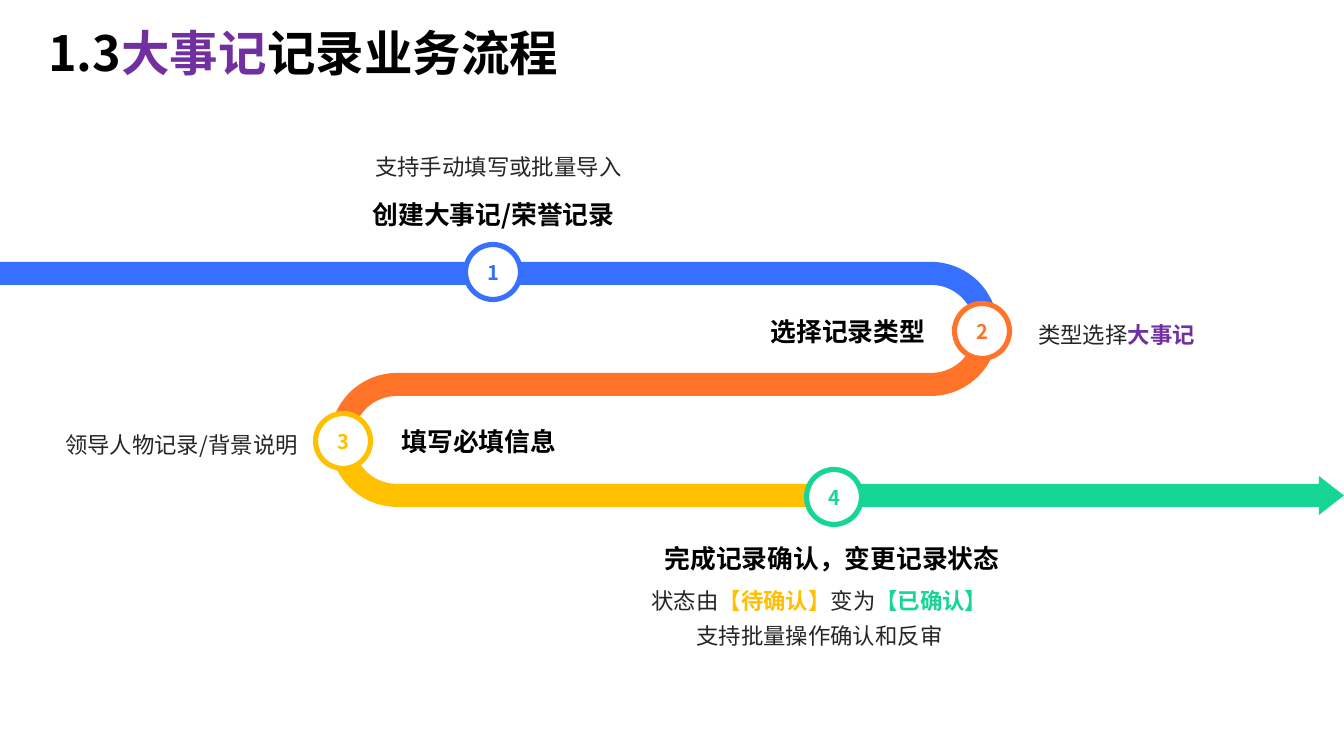
from math import cos, radians, sin

from pptx import Presentation
from pptx.dml.color import RGBColor
from pptx.enum.shapes import MSO_SHAPE
from pptx.enum.text import MSO_ANCHOR, PP_ALIGN
from pptx.util import Emu, Pt

FONT = "Noto Sans CJK SC"
WIDTH, HEIGHT = 1344, 756
BLUE, ORANGE, YELLOW, GREEN = "376FFF", "FF7429", "FFC000", "17D594"
PURPLE, BLACK, GREY, WHITE = "7030A0", "000000", "262626", "FFFFFF"
OUTER, INNER = 67, 44
RIGHT_TURN, LEFT_TURN = (931, 329), (397, 440)
ARROW_BASE, ARROW_SPREAD = 1319, 8
TOP, MIDDLE, BOTTOM = MSO_ANCHOR.TOP, MSO_ANCHOR.MIDDLE, MSO_ANCHOR.BOTTOM

STEPS = [
    ("4", GREEN, 834, 497),
    ("3", YELLOW, 343, 441),
    ("2", ORANGE, 982, 331),
    ("1", BLUE, 493, 272),
]
DIAMETER = 55

TITLE = [("1.3", BLACK, True), ("大事记", PURPLE, True), ("记录业务流程", BLACK, True)]
HEADINGS = [
    ("创建大事记/荣誉记录", (339, 199, 309, 43), TOP),
    ("完成记录确认，变更记录状态", (653, 531, 358, 43), BOTTOM),
    ("选择记录类型", (745, 301, 206, 60), MIDDLE),
    ("填写必填信息", (376, 411, 206, 60), MIDDLE),
]
DETAILS = [
    ([[("状态由", GREY, False), ("【待确认】", YELLOW, True),
       ("变为", GREY, False), ("【已确认】", GREEN, True)],
      [("支持批量操作确认和反审", GREY, False)]], (645, 579, 349, 78), TOP),
    ([[("类型选择", GREY, False), ("大事记", PURPLE, True)]], (989, 300, 255, 62), MIDDLE),
    ([[("领导人物记录/背景说明", GREY, False)]], (54, 410, 255, 62), MIDDLE),
    ([[("支持手动填写或批量导入", GREY, False)]], (344, 125, 309, 55), BOTTOM),
]


def px(value):
    """Turn slide pixels into EMU."""
    return Emu(round(value * 914400 / 134.4))


def color(value):
    """Turn a hex string into a colour."""
    return RGBColor.from_string(value)


def arc(center, radius, start, end, pieces=24):
    """Return points along an arc, with angles in degrees clockwise from the right."""
    angles = [radians(start + (end - start) * i / pieces) for i in range(pieces + 1)]
    return [(center[0] + radius * cos(a), center[1] + radius * sin(a)) for a in angles]


def add_band(slide, points, fill):
    """Draw one coloured stretch of the road."""
    corners = [(px(x), px(y)) for x, y in points]
    builder = slide.shapes.build_freeform(*corners[0], scale=1.0)
    builder.add_line_segments(corners[1:], close=True)
    shape = builder.convert_to_shape()
    shape.shadow.inherit = False
    shape.fill.solid()
    shape.fill.fore_color.rgb = color(fill)
    shape.line.fill.background()


def add_runs(paragraph, runs, size):
    """Append styled runs to a paragraph."""
    for text, ink, bold in runs:
        run = paragraph.add_run()
        run.text = text
        run.font.name, run.font.size, run.font.bold = FONT, Pt(size), bold
        run.font.color.rgb = color(ink)


def add_step(slide, number, ink, x, y):
    """Draw a numbered circle centred on the road."""
    left, top = x - DIAMETER / 2, y - DIAMETER / 2
    shape = slide.shapes.add_shape(
        MSO_SHAPE.OVAL, px(left), px(top), px(DIAMETER), px(DIAMETER))
    shape.shadow.inherit = False
    shape.fill.solid()
    shape.fill.fore_color.rgb = color(WHITE)
    shape.line.color.rgb = color(ink)
    shape.line.width = Pt(2.75)
    frame = shape.text_frame
    frame.word_wrap = False
    frame.vertical_anchor = MIDDLE
    frame.paragraphs[0].alignment = PP_ALIGN.CENTER
    add_runs(frame.paragraphs[0], [(number, ink, True)], 10.8)


def add_text(slide, lines, box, size, anchor=TOP, centered=True, spacing=None):
    """Add a wrapped text box; centred boxes have no insets."""
    frame = slide.shapes.add_textbox(*map(px, box)).text_frame
    frame.word_wrap = True
    frame.vertical_anchor = anchor
    if centered:
        frame.margin_left = frame.margin_right = 0
        frame.margin_top = frame.margin_bottom = 0
    for index, runs in enumerate(lines):
        paragraph = frame.add_paragraph() if index else frame.paragraphs[0]
        paragraph.alignment = PP_ALIGN.CENTER if centered else PP_ALIGN.LEFT
        if spacing:
            paragraph.line_spacing = spacing
        add_runs(paragraph, runs, size)


def build_bands():
    """Work out the outline of every stretch of the road."""
    upper = RIGHT_TURN[1] - OUTER, RIGHT_TURN[1] - INNER
    lower = LEFT_TURN[1] + INNER, LEFT_TURN[1] + OUTER
    last_x = STEPS[0][2]
    yellow = (arc(LEFT_TURN, OUTER, 180, 90) + [(last_x, lower[1]), (last_x, lower[0])]
              + arc(LEFT_TURN, INNER, 90, 180))
    orange = (arc(RIGHT_TURN, OUTER, 0, 90) + arc(LEFT_TURN, INNER, 270, 180)
              + arc(LEFT_TURN, OUTER, 180, 270) + arc(RIGHT_TURN, INNER, 90, 0))
    blue = ([(0, upper[0])] + arc(RIGHT_TURN, OUTER, -90, 0)
            + arc(RIGHT_TURN, INNER, 0, -90) + [(0, upper[1])])
    green = [(last_x, lower[0]), (ARROW_BASE, lower[0]),
             (ARROW_BASE, lower[0] - ARROW_SPREAD), (WIDTH, sum(lower) / 2),
             (ARROW_BASE, lower[1] + ARROW_SPREAD), (ARROW_BASE, lower[1]),
             (last_x, lower[1])]
    return [(yellow, YELLOW), (orange, ORANGE), (blue, BLUE), (green, GREEN)]


def main():
    """Build the process slide and save it."""
    presentation = Presentation()
    presentation.slide_width, presentation.slide_height = px(WIDTH), px(HEIGHT)
    slide = presentation.slides.add_slide(presentation.slide_layouts[6])
    add_text(slide, [TITLE], (35, 16, 538, 73), 26, centered=False)
    for points, fill in build_bands():
        add_band(slide, points, fill)
    for step in STEPS:
        add_step(slide, *step)
    for text, box, anchor in HEADINGS:
        add_text(slide, [[(text, BLACK, True)]], box, 13.8, anchor)
    for lines, box, anchor in DETAILS:
        add_text(slide, lines, box, 12, anchor, spacing=1.3)
    presentation.save("out.pptx")


if __name__ == "__main__":
    main()
